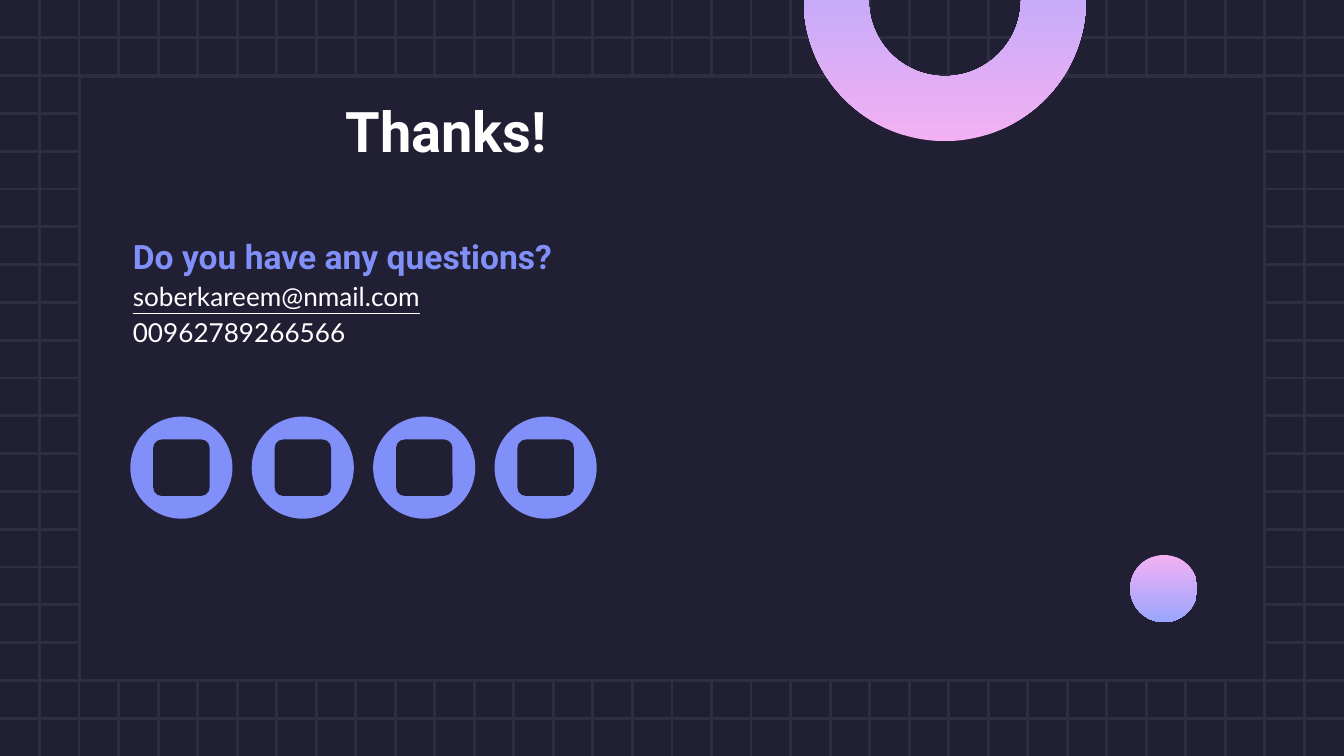
from lxml.etree import SubElement
from pptx import Presentation
from pptx.dml.color import RGBColor
from pptx.enum.shapes import MSO_CONNECTOR as Connector, MSO_SHAPE as Shape
from pptx.enum.text import MSO_ANCHOR as Anchor, MSO_AUTO_SIZE as AutoSize, PP_ALIGN as Align
from pptx.oxml.ns import qn
from pptx.util import Inches, Pt

WIDTH, HEIGHT = 10, 5.625
COLORS = {
    "background": "211F34",
    "grid": "2E2D42",
    "accent": "818FF9",
    "text": "FFFFFF",
    "pink": "F3B0F3",
    "blue": "9AA6FF",
}

TITLE = [("Thanks!", "Roboto", 30, "text", True, False)]
CONTACT = [
    ("Do you have any questions?", "Roboto", 18, "accent", True, False),
    ("soberkareem@nmail.com", "Lato", 14, "text", False, True),
    ("00962789266566", "Lato", 14, "text", False, False),
]

GRID_COLUMNS, GRID_ROWS = 34, 20
PANEL = (0.59, 0.57, 8.82, 4.49)
TITLE_BOX = (0.89, 0.62, 4.86, 1.16)
CONTACT_BOX = (0.89, 1.61, 4.86, 1.27)
BADGE_COUNT, BADGE_SIZE, BADGE_TOP = 4, 0.76, 3.1
BADGE_FIRST, BADGE_LAST = 0.97, 3.68
TILE_SIZE, TILE_CORNER = 0.42, 0.15
RING = (5.98, -1.05, 2.1, 2.1)
RING_ADJUSTMENTS = (108, 0.36, 0.23)
DOT = (8.41, 4.13, 0.5, 0.5)


def color(name):
    return RGBColor.from_string(COLORS[name])


def add_grid_line(grid, x1, y1, x2, y2):
    line = grid.shapes.add_connector(Connector.STRAIGHT, *map(Inches, (x1, y1, x2, y2)))
    line.line.color.rgb = color("grid")
    line.line.width = Pt(1.5)
    SubElement(line.element.spPr, qn("a:effectLst"))


def add_plain_shape(slide, kind, box, fill=None):
    shape = slide.shapes.add_shape(kind, *map(Inches, box))
    shape.shadow.inherit = False
    shape.line.fill.background()
    if fill:
        shape.fill.solid()
        shape.fill.fore_color.rgb = color(fill)
    else:
        shape.fill.gradient()
        shape.fill.gradient_angle = 270
        for stop, name in zip(shape.fill.gradient_stops, ("pink", "blue")):
            stop.color.rgb = color(name)
    return shape


def write_text(holder, box, lines, align, spacing):
    holder.left, holder.top, holder.width, holder.height = map(Inches, box)
    frame = holder.text_frame
    frame.word_wrap = True
    frame.auto_size = AutoSize.NONE
    frame.vertical_anchor = Anchor.TOP
    frame.margin_left = frame.margin_right = Inches(0.1)
    frame.margin_top = frame.margin_bottom = Inches(0.1)
    frame.text = "\n".join(line[0] for line in lines)
    for paragraph, (_, font, size, ink, bold, underline) in zip(frame.paragraphs, lines):
        paragraph.alignment = align
        paragraph.line_spacing = spacing
        paragraph.space_before = Pt(0)
        style = paragraph.runs[0].font
        style.name, style.size = font, Pt(size)
        style.bold, style.underline = bold, underline
        style.color.rgb = color(ink)


def main():
    deck = Presentation()
    deck.slide_width, deck.slide_height = Inches(WIDTH), Inches(HEIGHT)
    slide = deck.slides.add_slide(deck.slide_layouts[5])
    slide.background.fill.solid()
    slide.background.fill.fore_color.rgb = color("background")

    grid = slide.shapes.add_group_shape()
    for row in range(1, GRID_ROWS):
        y = HEIGHT * row / GRID_ROWS
        add_grid_line(grid, 0, y, WIDTH, y)
    for column in range(1, GRID_COLUMNS):
        x = WIDTH * column / GRID_COLUMNS
        add_grid_line(grid, x, 0, x, HEIGHT)

    panel = add_plain_shape(slide, Shape.RECTANGLE, PANEL, "background")
    panel.line.color.rgb = color("grid")
    panel.line.width = Pt(1.5)

    title = slide.shapes.title
    panel.element.addnext(title.element)
    write_text(title, TITLE_BOX, TITLE, Align.CENTER, 1)
    contact = slide.shapes.add_textbox(*map(Inches, CONTACT_BOX))
    write_text(contact, CONTACT_BOX, CONTACT, Align.LEFT, 1.15)

    pitch = (BADGE_LAST - BADGE_FIRST) / (BADGE_COUNT - 1)
    inset = (BADGE_SIZE - TILE_SIZE) / 2
    for index in range(BADGE_COUNT):
        left = BADGE_FIRST + index * pitch
        add_plain_shape(slide, Shape.OVAL, (left, BADGE_TOP, BADGE_SIZE, BADGE_SIZE), "accent")
        tile_box = (left + inset, BADGE_TOP + inset, TILE_SIZE, TILE_SIZE)
        tile = add_plain_shape(slide, Shape.ROUNDED_RECTANGLE, tile_box, "background")
        tile.adjustments[0] = TILE_CORNER

    ring = add_plain_shape(slide, Shape.BLOCK_ARC, RING)
    ring.rotation = 180
    for index, value in enumerate(RING_ADJUSTMENTS):
        ring.adjustments[index] = value
    add_plain_shape(slide, Shape.OVAL, DOT)

    deck.save("out.pptx")


if __name__ == "__main__":
    main()
